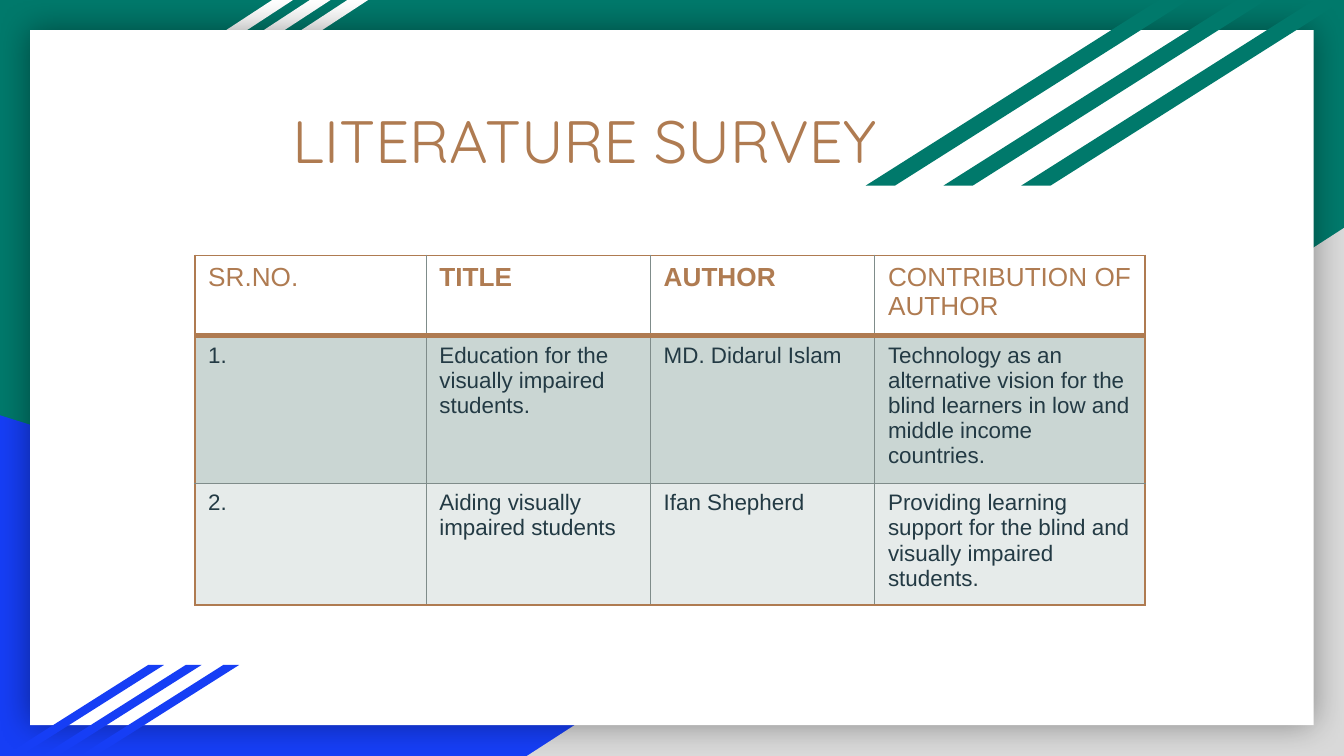
"""Build the literature survey slide with its framed card and table."""
from lxml.etree import SubElement
from pptx import Presentation
from pptx.dml.color import RGBColor
from pptx.enum.shapes import MSO_SHAPE
from pptx.enum.text import MSO_ANCHOR, PP_ALIGN
from pptx.oxml.ns import qn
from pptx.util import Cm, Pt

GREEN = RGBColor(0x00, 0x79, 0x6B)
BLUE = RGBColor(0x16, 0x3E, 0xF5)
GREY = RGBColor(0xD9, 0xD9, 0xD9)
WHITE = RGBColor(0xFF, 0xFF, 0xFF)
BROWN = RGBColor(0xAF, 0x7B, 0x51)
SLATE = RGBColor(0x23, 0x3A, 0x44)
RULE = RGBColor(0x7F, 0x8C, 0x8A)
SAGE = RGBColor(0xCA, 0xD6, 0xD3)
MIST = RGBColor(0xE6, 0xEB, 0xEA)


def add_panel(preset, box, color):
    panel = slide.shapes.add_shape(preset, *[Cm(length) for length in box])
    panel.shadow.inherit = False
    panel.fill.solid()
    panel.fill.fore_color.rgb = color
    panel.line.fill.background()
    return panel


def write(frame, text, font_format):
    frame.word_wrap = True
    run = frame.paragraphs[0].add_run()
    run.text = text
    for name, value in font_format.items():
        if name == "color":
            run.font.color.rgb = value
        else:
            setattr(run.font, name, value)


deck = Presentation()
deck.slide_width, deck.slide_height = Cm(25.4), Cm(14.29)
slide = deck.slides.add_slide(deck.slide_layouts[6])
slide.background.fill.solid()
slide.background.fill.fore_color.rgb = GREEN

add_panel(MSO_SHAPE.RIGHT_TRIANGLE, (0, 7.85, 20.47, 6.44), BLUE)
grey_corner = add_panel(MSO_SHAPE.RIGHT_TRIANGLE, (9.96, 4.31, 15.44, 9.98), GREY)
grey_corner.element.spPr.xfrm.set("flipH", "1")

stripe_groups = [
    (0.71, 0.71, 0, 4.83, 2.9, 1.53, WHITE),
    (0.1, 0.71, 12.57, 3, 1.71, 1.58, BLUE),
    (16.36, 1.47, 0, 6.1, 3.51, 1.58, GREEN),
]
for order, (left, step, top, width, height, slant, color) in enumerate(stripe_groups):
    for index in (2, 1, 0):
        stripe = add_panel(MSO_SHAPE.PARALLELOGRAM,
                           (left + index * step, top, width, height), color)
        stripe.adjustments[0] = slant
    if order == 0:
        card = add_panel(MSO_SHAPE.RECTANGLE, (0.57, 0.57, 24.26, 13.14), WHITE)
        effects = card.element.spPr.find(qn("a:effectLst"))
        glow = SubElement(effects, qn("a:outerShdw"), blurRad=str(Pt(18)),
                          dist="0", dir="0", algn="ctr", rotWithShape="0")
        glow_color = SubElement(glow, qn("a:srgbClr"), val="000000")
        SubElement(glow_color, qn("a:alpha"), val="40000")

title = slide.shapes.add_textbox(Cm(2.21), Cm(1.37), Cm(17.68), Cm(2.54)).text_frame
write(title, "LITERATURE SURVEY", {"name": "Quicksand", "size": Pt(32), "color": BROWN})
title.vertical_anchor = MSO_ANCHOR.MIDDLE
title.paragraphs[0].alignment = PP_ALIGN.CENTER

survey_rows = [
    ("SR.NO.", "TITLE", "AUTHOR", "CONTRIBUTION OF AUTHOR"),
    ("1.", "Education for the visually impaired students.", "MD. Didarul Islam",
     "Technology as an alternative vision for the blind learners in low and "
     "middle income countries."),
    ("2.", "Aiding visually impaired students", "Ifan Shepherd",
     "Providing learning support for the blind and visually impaired students."),
]
column_widths = [4.37, 4.24, 4.24, 5.11]
row_heights = [1.52, 2.62, 2.24]
row_fills = [WHITE, SAGE, MIST]
header_format = {"name": "Arial", "size": Pt(14), "color": BROWN}
body_format = {"name": "Arial", "size": Pt(12), "color": SLATE, "bold": False}

survey = slide.shapes.add_table(3, 4, Cm(3.68), Cm(4.83), Cm(sum(column_widths)),
                                Cm(sum(row_heights))).table
survey.first_row = survey.horz_banding = False
for column, width in zip(survey.columns, column_widths):
    column.width = Cm(width)
for row, height in zip(survey.rows, row_heights):
    row.height = Cm(height)

outer, inner, heavy = (BROWN, 1), (RULE, 0.5), (BROWN, 3)
for r, texts in enumerate(survey_rows):
    for c, text in enumerate(texts):
        cell = survey.cell(r, c)
        borders = {
            "a:lnL": outer if c == 0 else inner,
            "a:lnR": outer if c == 3 else inner,
            "a:lnT": (outer, heavy, inner)[r],
            "a:lnB": (heavy, inner, outer)[r],
        }
        properties = cell._tc.get_or_add_tcPr()
        for side, (color, weight) in borders.items():
            border = SubElement(properties, qn(side), w=str(Pt(weight)))
            SubElement(SubElement(border, qn("a:solidFill")), qn("a:srgbClr"), val=str(color))
        cell.fill.solid()
        cell.fill.fore_color.rgb = row_fills[r]
        cell_format = body_format if r else {**header_format, "bold": c in (1, 2)}
        write(cell.text_frame, text, cell_format)

deck.save("out.pptx")
